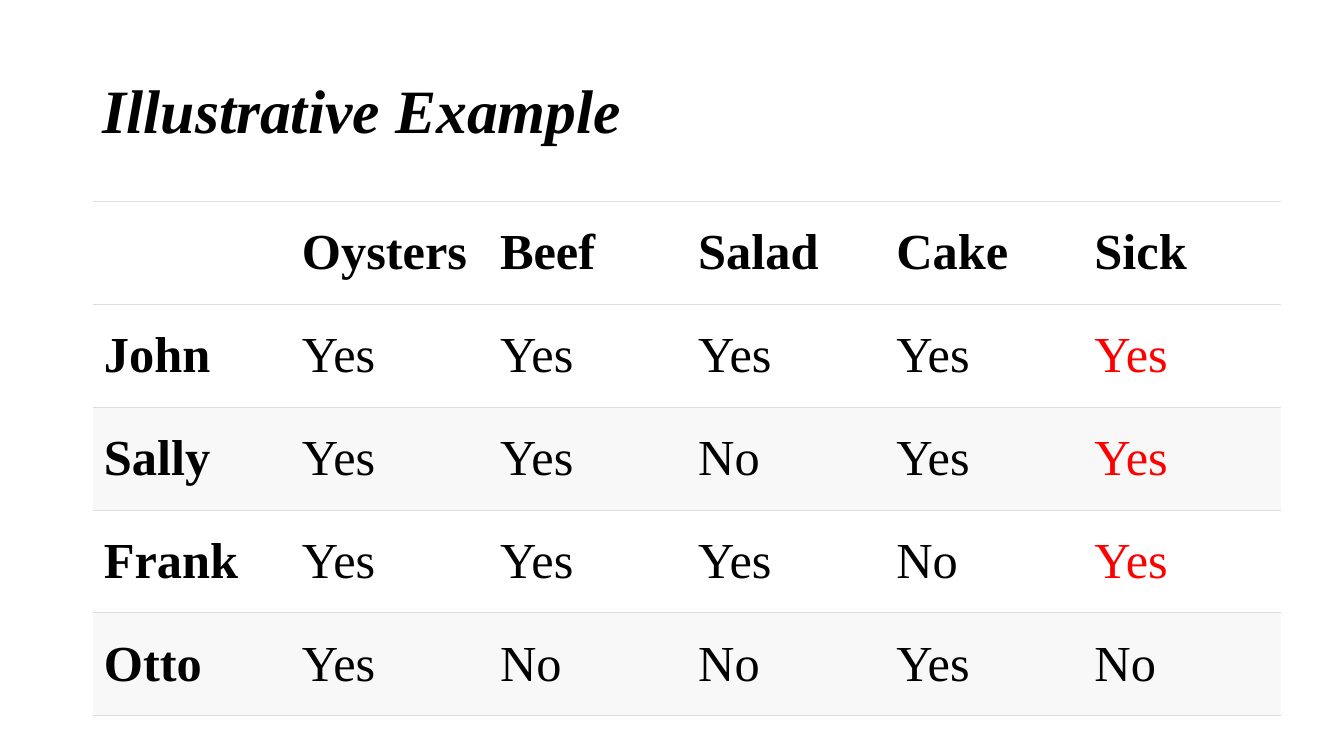
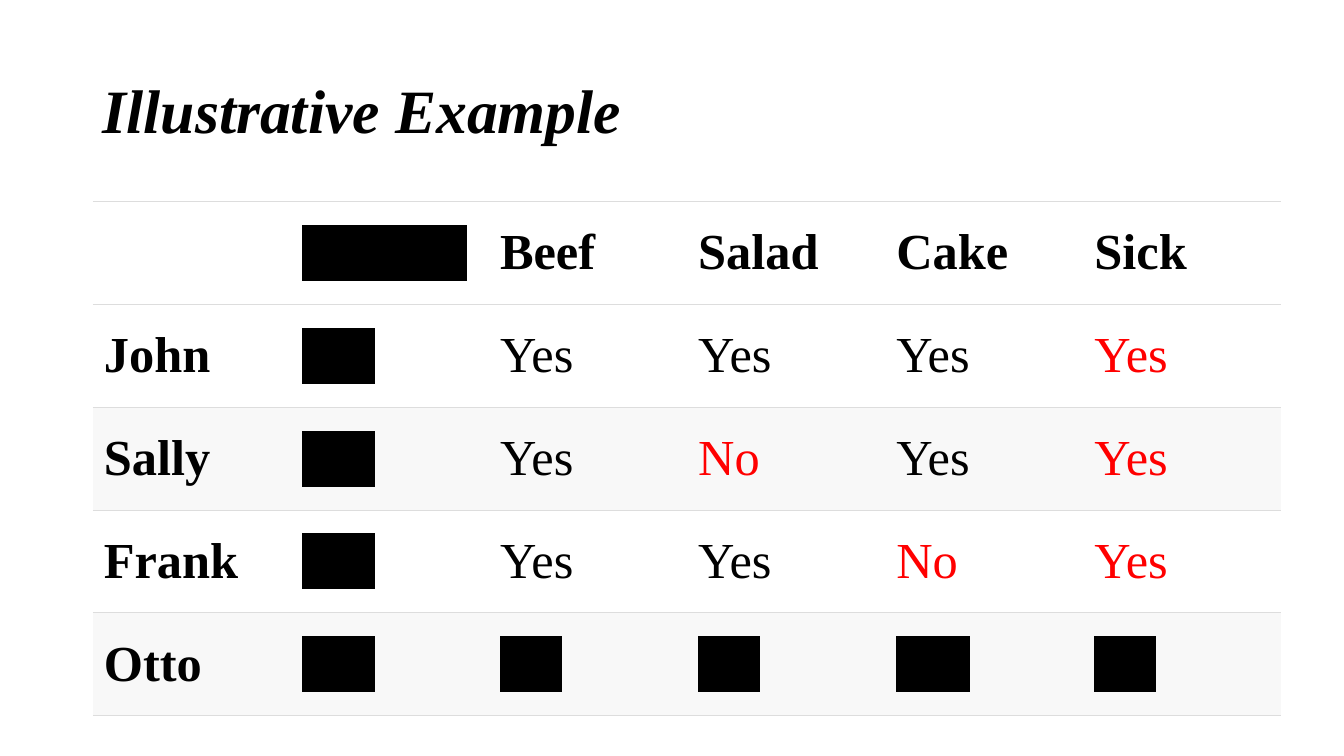
import dataclasses
import typing

import pptx
import pptx.dml.color
import pptx.enum.text
import pptx.oxml
import pptx.oxml.ns
import pptx.slide
import pptx.table
import pptx.text.text
import pptx.util

Inches = pptx.util.Inches
Pt = pptx.util.Pt
RGB = pptx.dml.color.RGBColor
ANCHOR = pptx.enum.text.MSO_ANCHOR
Pos = tuple[int, int]

NO_GRID_STYLE = "{2D5ABB26-0587-4C30-8999-92F81FD0307C}"


@dataclasses.dataclass(frozen=True)
class Theme:
    font: str = "Times New Roman"
    ink: str = "000000"
    accent: str = "FF0000"
    rule: str = "DDDDDD"
    bands: tuple[str, str] = ("FFFFFF", "F8F8F8")
    title_size: int = 44
    cell_size: int = 36
    rule_width: float = 0.6
    last_rule_width: float = 1.2


@dataclasses.dataclass(frozen=True)
class TableSlide:
    title: str
    red: frozenset[Pos]
    hidden: frozenset[Pos] = frozenset()


THEME = Theme()
ROWS = [
    ["", "Oysters", "Beef", "Salad", "Cake", "Sick"],
    ["John", "Yes", "Yes", "Yes", "Yes", "Yes"],
    ["Sally", "Yes", "Yes", "No", "Yes", "Yes"],
    ["Frank", "Yes", "Yes", "Yes", "No", "Yes"],
    ["Otto", "Yes", "No", "No", "Yes", "No"],
]
N_ROWS, N_COLS = len(ROWS), len(ROWS[0])
LAST_ROW, LAST_COL = N_ROWS - 1, N_COLS - 1

SICK = frozenset((r, LAST_COL) for r in range(1, LAST_ROW))
SKIPPED = frozenset({(2, 3), (3, 4)})
RULED_OUT = frozenset(
    {(r, 1) for r in range(N_ROWS)} | {(LAST_ROW, c) for c in range(1, N_COLS)}
)

SLIDES = [
    TableSlide("Illustrative Example", SICK),
    TableSlide("Illustrative Example", SICK | SKIPPED, RULED_OUT),
]


def set_attrs(obj: typing.Any, values: dict[str, typing.Any]) -> None:
    for name, value in values.items():
        setattr(obj, name, value)


def add_run(p: pptx.text.text._Paragraph, text: str, color: str,
            **fmt: typing.Any) -> pptx.text.text._Run:
    r = p.add_run()
    r.text = text
    set_attrs(r.font, {"name": THEME.font, **fmt})
    r.font.color.rgb = RGB.from_string(color)
    return r


def highlight(r: pptx.text.text._Run, color: str) -> None:
    mark = pptx.oxml.parse_xml(
        f'<a:highlight {pptx.oxml.ns.nsdecls("a")}>'
        f'<a:srgbClr val="{color}"/></a:highlight>'
    )
    r.font._element.find(pptx.oxml.ns.qn("a:solidFill")).addnext(mark)


def add_rules(cell: pptx.table._Cell, top: float, bottom: float) -> None:
    props = cell._tc.get_or_add_tcPr()
    for i, (tag, width) in enumerate((("lnT", top), ("lnB", bottom))):
        props.insert(i, pptx.oxml.parse_xml(
            f'<a:{tag} {pptx.oxml.ns.nsdecls("a")} w="{Pt(width)}">'
            f'<a:solidFill><a:srgbClr val="{THEME.rule}"/></a:solidFill></a:{tag}>'
        ))


def add_title(s: pptx.slide.Slide, text: str) -> None:
    sp = s.shapes.title
    set_attrs(sp, {"left": Inches(0.92), "top": Inches(0.4),
                   "width": Inches(11.5), "height": Inches(1.45)})
    tf = sp.text_frame
    set_attrs(tf, {"vertical_anchor": ANCHOR.MIDDLE, "word_wrap": True,
                   "auto_size": pptx.enum.text.MSO_AUTO_SIZE.NONE})
    p = tf.paragraphs[0]
    set_attrs(p, {"alignment": pptx.enum.text.PP_ALIGN.LEFT, "line_spacing": 0.9})
    add_run(p, text, THEME.ink, size=Pt(THEME.title_size), bold=True, italic=True)


def fill_cell(cell: pptx.table._Cell, pos: Pos, spec_: TableSlide) -> None:
    row, col = pos
    set_attrs(cell, {"vertical_anchor": ANCHOR.MIDDLE,
                     "margin_left": Inches(0.11), "margin_right": Inches(0.11),
                     "margin_top": Inches(0.05), "margin_bottom": Inches(0.05)})
    band = THEME.bands[row > 0 and row % 2 == 0]
    cell.fill.solid()
    cell.fill.fore_color.rgb = RGB.from_string(band)
    bottom = THEME.last_rule_width if row == LAST_ROW else THEME.rule_width
    add_rules(cell, THEME.rule_width, bottom)
    if not ROWS[row][col]:
        return
    color = THEME.accent if pos in spec_.red else THEME.ink
    r = add_run(cell.text_frame.paragraphs[0], ROWS[row][col], color,
                size=Pt(THEME.cell_size), bold=row == 0 or col == 0)
    if pos in spec_.hidden:
        highlight(r, THEME.ink)


def add_answers(s: pptx.slide.Slide, content: TableSlide) -> None:
    table = s.shapes.add_table(N_ROWS, N_COLS, Inches(0.92), Inches(2),
                               Inches(11.79), Inches(5.1)).table
    set_attrs(table, {"first_row": False, "horz_banding": False})
    table._tbl.tblPr.find(pptx.oxml.ns.qn("a:tableStyleId")).text = NO_GRID_STYLE
    for row in range(N_ROWS):
        for col in range(N_COLS):
            fill_cell(table.cell(row, col), (row, col), content)


def main() -> None:
    prs = pptx.Presentation()
    set_attrs(prs, {"slide_width": Inches(13.33), "slide_height": Inches(7.5)})
    title_only = prs.slide_layouts.get_by_name("Title Only")
    for content in SLIDES:
        s = prs.slides.add_slide(title_only)
        add_title(s, content.title)
        add_answers(s, content)
    prs.save("out.pptx")


if __name__ == "__main__":
    main()
